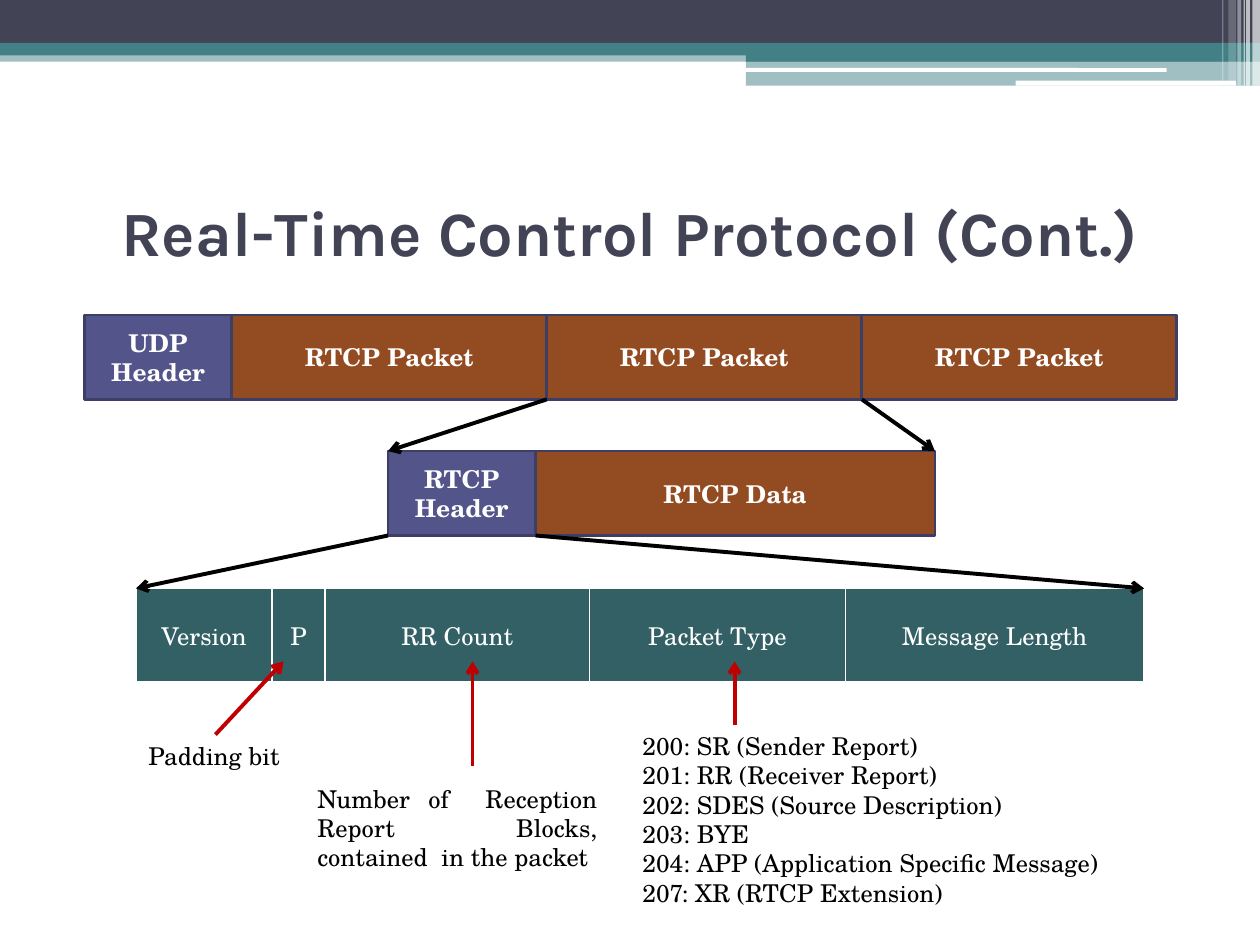
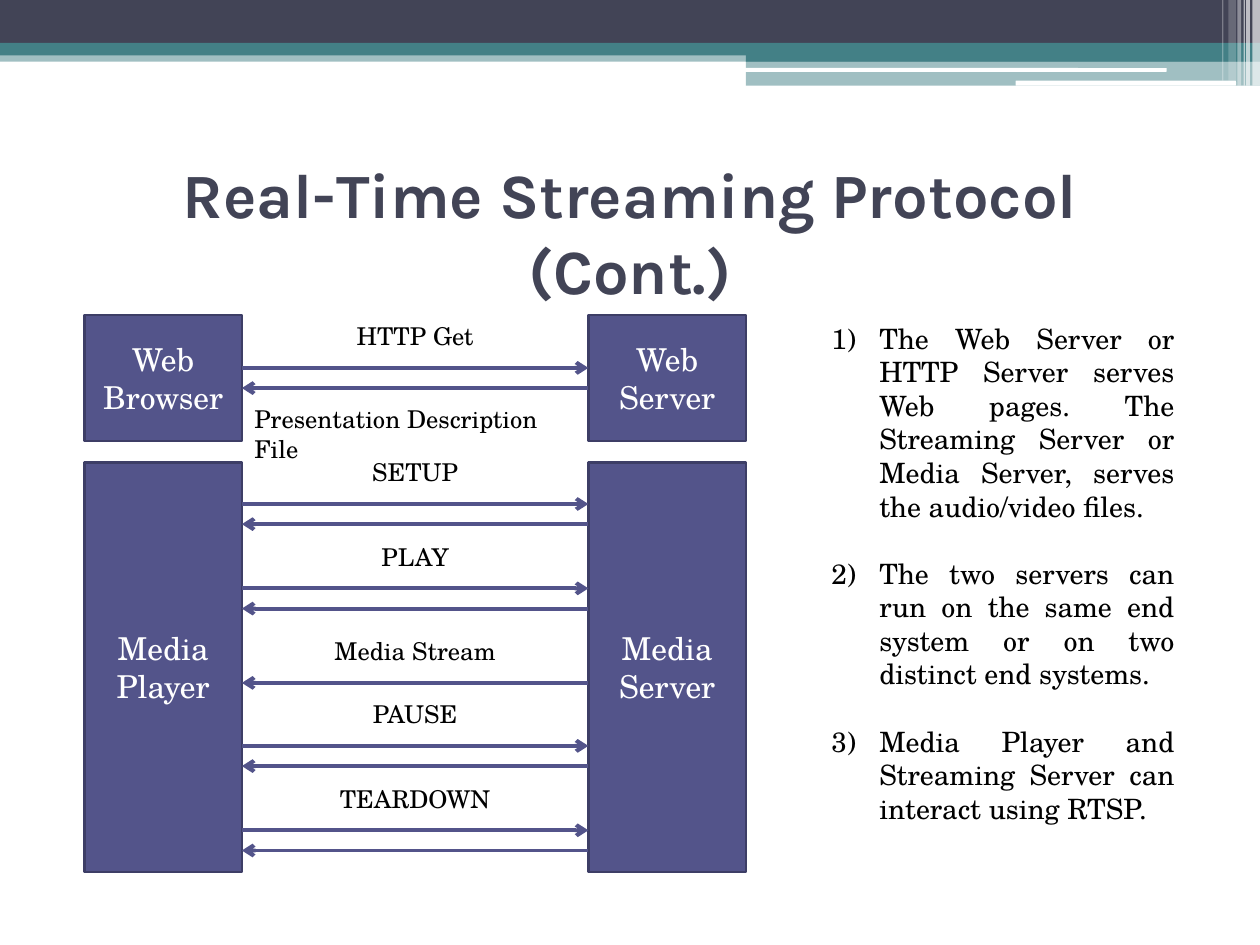
"""Build two slides on the RTCP packet layout and the RTSP message exchange."""
from lxml.etree import SubElement
from pptx import Presentation
from pptx.dml.color import RGBColor
from pptx.enum.shapes import MSO_CONNECTOR as Connector, MSO_SHAPE as Shape
from pptx.enum.text import MSO_ANCHOR as Anchor, PP_ALIGN as Align
from pptx.oxml.ns import qn
from pptx.util import Cm, Pt

WHITE = RGBColor(0xFF, 0xFF, 0xFF)
BLACK = RGBColor(0x00, 0x00, 0x00)
NAVY = RGBColor(0x42, 0x44, 0x56)
TEAL = RGBColor(0x43, 0x80, 0x86)
DARK_TEAL = RGBColor(0x32, 0x60, 0x65)
PURPLE = RGBColor(0x53, 0x54, 0x8A)
OUTLINE = RGBColor(0x3D, 0x3E, 0x66)
BROWN = RGBColor(0x93, 0x4C, 0x22)
RED = RGBColor(0xC0, 0x00, 0x00)
TITLE_FONT, BODY_FONT = "Karla", "TeX Gyre Schola"

BANDS = [
    (0, 0.4, 10, 0.09, TEAL, 50),
    (0, 0, 10, 0.34, NAVY, 100),
    (0, 0.34, 10, 0.1, TEAL, 100),
    (5.92, 0.39, 4.08, 0.1, TEAL, 100),
    (5.92, 0.48, 4.08, 0.2, TEAL, 50),
]
RULES = [(5.91, 0.54, 3.35, 0.03, WHITE, 100), (8.06, 0.64, 1.75, 0.04, WHITE, 100)]
STRIPES = [
    (9.94, 0, 0.06, 0.68, WHITE, 65),
    (9.89, 0, 0.03, 0.68, WHITE, 65),
    (9.87, 0, 0.01, 0.68, WHITE, 60),
    (9.82, 0, 0.03, 0.68, WHITE, 40),
    (9.75, 0, 0.06, 0.64, WHITE, 20),
    (9.7, 0, 0.01, 0.64, WHITE, 30),
]

DATAGRAM = [("UDP Header", 1.17, PURPLE)] + [("RTCP Packet", 2.5, BROWN)] * 3
PACKET = [("RTCP Header", 1.17, PURPLE), ("RTCP Data", 3.17, BROWN)]
HEADER_FIELDS = [("Version", 1.08), ("P", 0.42), ("RR Count", 2.1),
                 ("Packet Type", 2.03), ("Message Length", 2.37)]
DATAGRAM_LEFT, DATAGRAM_TOP = 0.67, 2.5
PACKET_LEFT, PACKET_TOP, PACKET_HEIGHT = 3.08, 3.58, 0.67
FIELDS_LEFT, FIELDS_TOP, FIELDS_HEIGHT = 1.08, 4.67, 0.75
FIELD_NOTES = [
    ("Number of  Reception Report Blocks, contained  in the packet",
     (2.42, 6.17, 2.42, 0.81), Align.JUSTIFY),
    ("Padding bit", (1.08, 5.83, 1.25, 0.34), Align.LEFT),
    ("200: SR (Sender Report)\n201: RR (Receiver Report)\n"
     "202: SDES (Source Description)\n203: BYE\n"
     "204: APP (Application Specific Message)\n207: XR (RTCP Extension)",
     (5, 5.75, 3.92, 1.51), Align.JUSTIFY),
]
NOTE_ARROWS = [((1.71, 5.83), (2.25, 5.25)), ((3.75, 6.08), (3.75, 5.25)),
               ((5.83, 5.75), (5.83, 5.25))]

CLIENT_LEFT, SERVER_LEFT, PEER_WIDTH = 0.67, 4.67, 1.25
PEERS = [("Web Browser", "Web Server", 2.5, 1), ("Media\nPlayer", "Media\nServer", 3.67, 3.25)]
REQUEST, REPLY = 0.42, 0.58
EXCHANGES = [
    ("HTTP Get", 2.5, True),
    ("SETUP", 3.58, True),
    ("PLAY", 4.25, True),
    ("Media Stream", 5, False),
    ("PAUSE", 5.5, True),
    ("TEARDOWN", 6.17, True),
]
REMARKS = [
    "The Web Server or HTTP Server serves Web pages. The Streaming Server or Media Server, "
    "serves the audio/video files.",
    "The two servers can run on the same end system or on two distinct end systems.",
    "Media Player and Streaming Server can interact using RTSP.",
]


def inches(*values):
    return [Cm(value * 2.54) for value in values]


def write(frame, text, size, color, align=Align.LEFT, bold=False, font=BODY_FONT):
    frame.text = text
    frame.word_wrap = True
    for paragraph in frame.paragraphs:
        paragraph.alignment = align
        for run in paragraph.runs:
            run.font.name, run.font.size, run.font.bold = font, Pt(size), bold
            run.font.color.rgb = color


def add_box(slide, box, fill, opacity=100, kind=Shape.RECTANGLE):
    shape = slide.shapes.add_shape(kind, *inches(*box))
    shape.shadow.inherit = False
    shape.fill.solid()
    shape.fill.fore_color.rgb = fill
    shape.line.fill.background()
    if opacity < 100:
        color = shape.element.spPr.find(".//" + qn("a:srgbClr"))
        SubElement(color, qn("a:alpha")).set("val", str(opacity * 1000))
    return shape


def add_block(slide, box, text, fill, size, bold=False):
    shape = add_box(slide, box, fill)
    shape.line.color.rgb = OUTLINE
    shape.line.width = Pt(1.5)
    shape.text_frame.vertical_anchor = Anchor.MIDDLE
    write(shape.text_frame, text, size, WHITE, Align.CENTER, bold)


def add_text(slide, box, text, size=14, color=BLACK, **style):
    frame = slide.shapes.add_textbox(*inches(*box)).text_frame
    write(frame, text, size, color, **style)
    return frame


def add_arrow(slide, start, end, color):
    arrow = slide.shapes.add_connector(Connector.STRAIGHT, *inches(*start, *end))
    arrow.line.color.rgb = color
    arrow.line.width = Pt(2.25)
    properties = arrow.element.spPr
    SubElement(properties.find(qn("a:ln")), qn("a:tailEnd")).set("type", "arrow")
    SubElement(properties, qn("a:effectLst"))


def add_slide(presentation, title):
    slide = presentation.slides.add_slide(presentation.slide_layouts[6])
    for *box, color, opacity in BANDS:
        add_box(slide, box, color, opacity)
    for *box, color, opacity in RULES:
        add_box(slide, box, color, opacity, Shape.ROUNDED_RECTANGLE)
    for *box, color, opacity in STRIPES:
        add_box(slide, box, color, opacity)
    frame = add_text(slide, (0.5, 1.25, 9, 1.17), title, 36, NAVY,
                     align=Align.CENTER, bold=True, font=TITLE_FONT)
    frame.vertical_anchor = Anchor.MIDDLE
    return slide


def add_row(slide, left, top, blocks):
    edges = [left]
    for text, width, fill in blocks:
        add_block(slide, (edges[-1], top, width, PACKET_HEIGHT), text, fill, 14, True)
        edges.append(edges[-1] + width)
    return edges


def set_borders(cell):
    properties = cell._tc.get_or_add_tcPr()
    for index, (side, width) in enumerate([("L", 1), ("R", 1), ("T", 1), ("B", 3)]):
        line = SubElement(properties, qn("a:ln" + side), w=str(Pt(width)))
        fill = SubElement(line, qn("a:solidFill"))
        SubElement(fill, qn("a:srgbClr")).set("val", str(WHITE))
        properties.insert(index, line)


def add_fields(slide):
    width = sum(width for _, width in HEADER_FIELDS)
    table = slide.shapes.add_table(
        1, len(HEADER_FIELDS), *inches(FIELDS_LEFT, FIELDS_TOP, width, FIELDS_HEIGHT)).table
    table.first_row = table.horz_banding = False
    for column, cell, (text, width) in zip(table.columns, table.rows[0].cells, HEADER_FIELDS):
        column.width = inches(width)[0]
        cell.fill.solid()
        cell.fill.fore_color.rgb = DARK_TEAL
        cell.vertical_anchor = Anchor.MIDDLE
        write(cell.text_frame, text, 14, WHITE, Align.CENTER)
        set_borders(cell)


def build_control_slide(presentation):
    slide = add_slide(presentation, "Real-Time Control Protocol (Cont.)")
    datagram_edges = add_row(slide, DATAGRAM_LEFT, DATAGRAM_TOP, DATAGRAM)
    packet_edges = add_row(slide, PACKET_LEFT, PACKET_TOP, PACKET)
    add_fields(slide)
    fields_right = FIELDS_LEFT + sum(width for _, width in HEADER_FIELDS)
    zooms = [(datagram_edges[2:4], DATAGRAM_TOP, (packet_edges[0], packet_edges[-1]), PACKET_TOP),
             (packet_edges[:2], PACKET_TOP, (FIELDS_LEFT, fields_right), FIELDS_TOP)]
    for starts, top, ends, bottom in zooms:
        for start, end in zip(starts, ends):
            add_arrow(slide, (start, top + PACKET_HEIGHT), (end, bottom), BLACK)
    for text, box, align in FIELD_NOTES:
        add_text(slide, box, text, align=align)
    for start, end in NOTE_ARROWS:
        add_arrow(slide, start, end, RED)


def build_streaming_slide(presentation):
    slide = add_slide(presentation, "Real-Time Streaming Protocol (Cont.)")
    for client, server, top, height in PEERS:
        for left, text in ((CLIENT_LEFT, client), (SERVER_LEFT, server)):
            add_block(slide, (left, top, PEER_WIDTH, height), text, PURPLE, 18)
    left, right = CLIENT_LEFT + PEER_WIDTH, SERVER_LEFT
    for label, top, two_way in EXCHANGES:
        add_text(slide, (left, top, right - left, 0.33), label, align=Align.CENTER)
        if two_way:
            add_arrow(slide, (left, top + REQUEST), (right, top + REQUEST), PURPLE)
        reply = top + (REPLY if two_way else REQUEST)
        add_arrow(slide, (right, reply), (left, reply), PURPLE)
    add_text(slide, (left, 3.16, 2.74, 0.34), "Presentation Description File")

    frame = add_text(slide, (6.5, 2.5, 2.92, 4.14), "\n".join(REMARKS), 16, align=Align.JUSTIFY)
    indent = inches(0.38)[0]
    for index, paragraph in enumerate(frame.paragraphs):
        paragraph.space_before = Pt(19.2 if index else 0)
        properties = paragraph._p.get_or_add_pPr()
        properties.set("marL", str(indent))
        properties.set("indent", str(-indent))
        SubElement(properties, qn("a:buFont")).set("typeface", "+mj-lt")
        SubElement(properties, qn("a:buAutoNum")).set("type", "arabicParenR")


presentation = Presentation()
presentation.slide_width, presentation.slide_height = inches(10, 7.5)
build_control_slide(presentation)
build_streaming_slide(presentation)
presentation.save("out.pptx")
